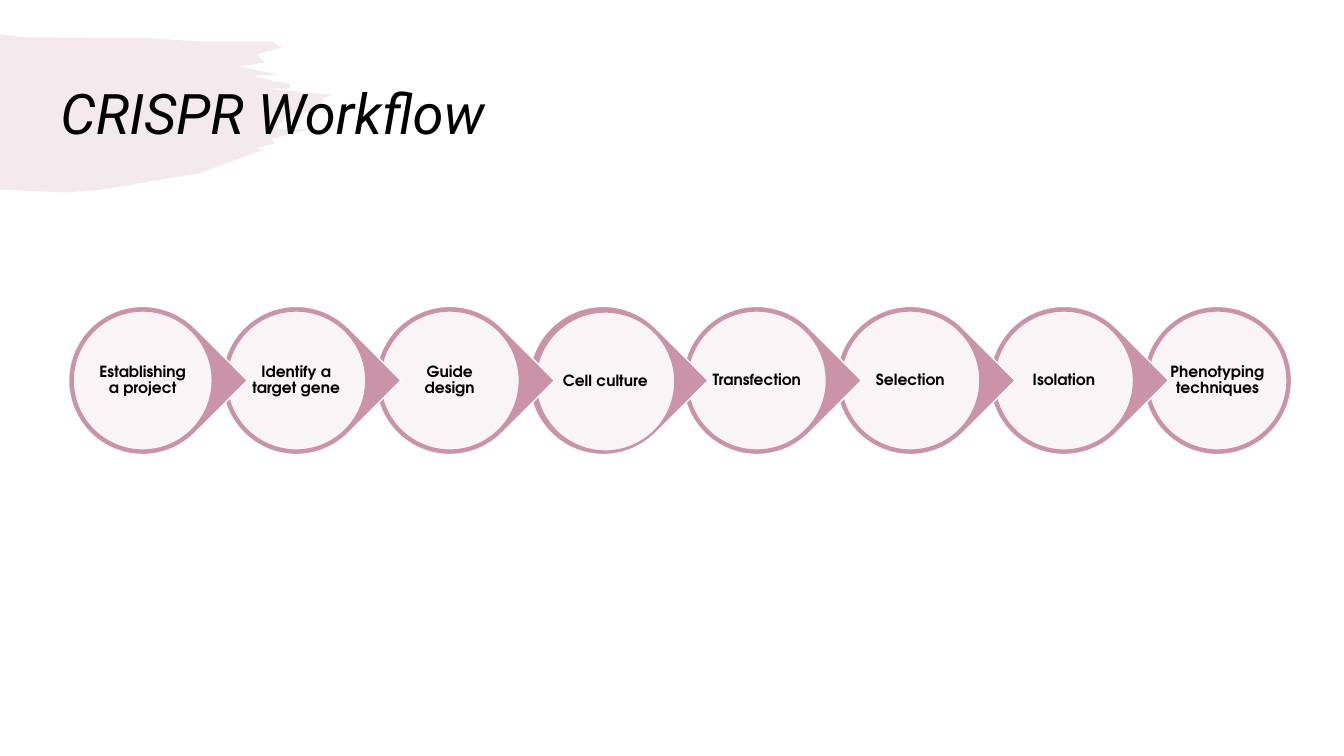
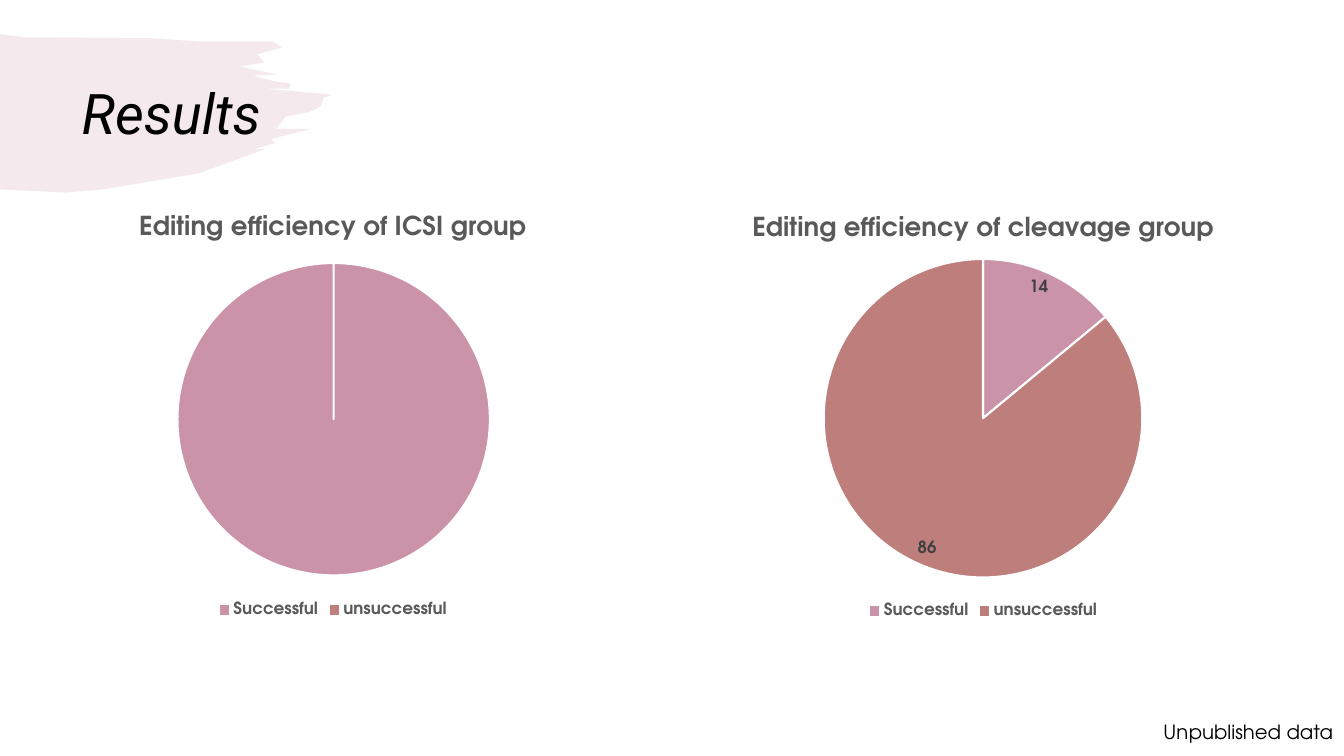
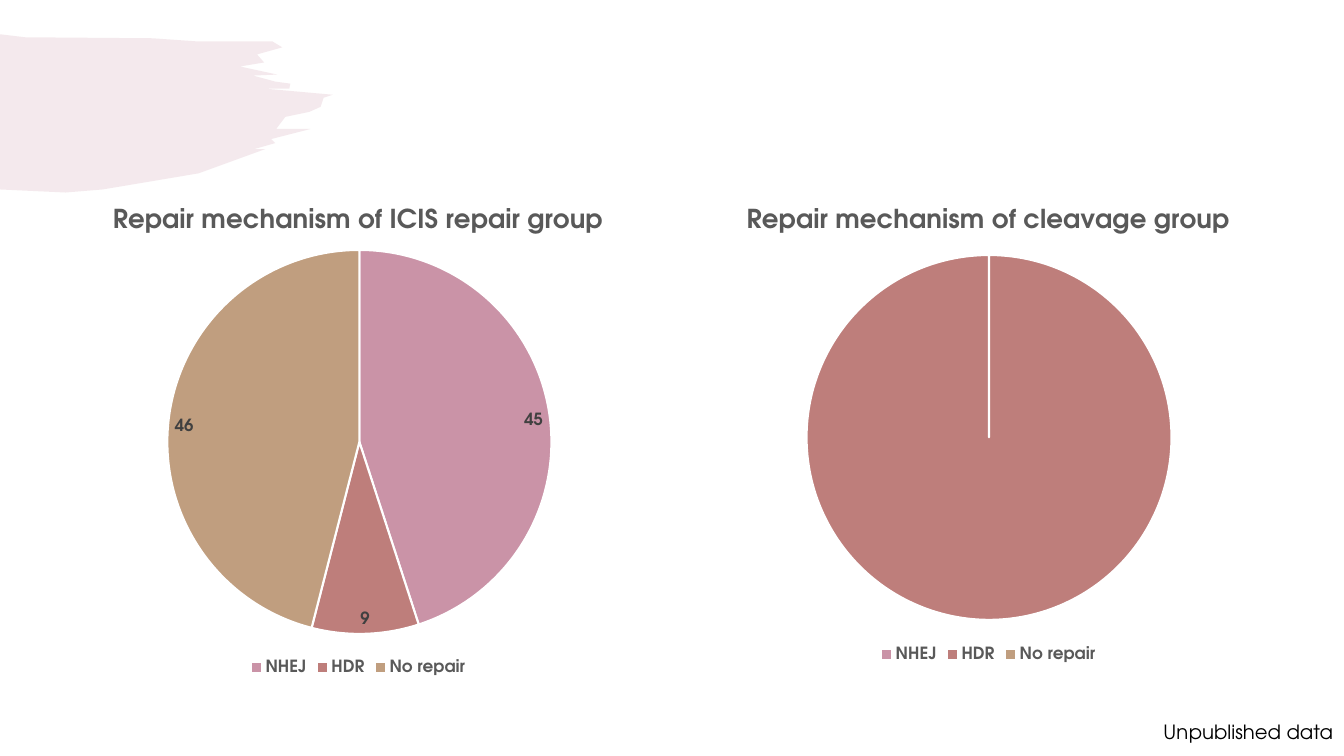
"""Build a three-slide deck on a CRISPR workflow and its results."""
import pptx
import pptx.chart.data
import pptx.dml.color
import pptx.enum.chart
import pptx.enum.shapes
import pptx.enum.text
import pptx.oxml
import pptx.oxml.ns
import pptx.util

Inches, Pt = pptx.util.Inches, pptx.util.Pt
qn = pptx.oxml.ns.qn
Shape = pptx.enum.shapes.MSO_SHAPE
Align = pptx.enum.text.PP_ALIGN
Middle = pptx.enum.text.MSO_ANCHOR.MIDDLE

COLORS = {
    "rose": "CA93A7", "brick": "BE7E7B", "sand": "C09E7F",
    "white": "FFFFFF", "black": "000000", "gray": "595959", "dark": "404040",
}
SLICES = ["rose", "brick", "sand"]
FACE = "TeX Gyre Adventor"
FONTS = {
    "title": {"name": "Roboto", "size": Pt(40), "bold": False, "italic": True},
    "step": {"name": FACE, "size": Pt(11), "bold": True},
    "note": {"name": FACE, "size": Pt(14)},
    "head": {"name": FACE, "size": Pt(18.6), "bold": True},
    "label": {"name": FACE, "size": Pt(12), "bold": True},
}

STEPS = [
    "Establishing a project", "Identify a target gene", "Guide design", "Cell culture",
    "Transfection", "Selection", "Isolation", "Phenotyping techniques",
]
NUDGES = {"Cell culture": (0.02, 0.01)}

EDITS = ["Successful", "unsuccessful"]
REPAIRS = ["NHEJ", "HDR", "No repair"]
NOTE = "Unpublished data"
SLIDES = [
    {"title": "CRISPR Workflow", "box": (0.5, 0.43, 6.73, 1.45), "steps": STEPS},
    {"title": "Results", "box": (0.71, 0.43, 11.5, 1.45), "note": NOTE, "charts": [
        {"head": "Editing efficiency of cleavage group", "cats": EDITS, "vals": [14, 86],
         "box": (6.63, 1.94, 6.25, 4.24), "pie": (8.17, 2.57, 3.16), "tags": True},
        {"head": "Editing efficiency of ICSI group", "cats": EDITS, "vals": [100, 0],
         "box": (0.25, 1.93, 6.11, 4.24), "pie": (1.76, 2.61, 3.1), "tags": False},
    ]},
    {"note": NOTE, "charts": [
        {"head": "Repair mechanism of ICIS repair group", "cats": REPAIRS, "vals": [45, 9, 46],
         "box": (-0.32, 1.85, 7.75, 4.89), "pie": (1.66, 2.48, 3.81), "tags": True},
        {"head": "Repair mechanism of cleavage group", "cats": REPAIRS, "vals": [0, 100, 0],
         "box": (6.71, 1.85, 6.19, 4.76), "pie": (8, 2.53, 3.62), "tags": False},
    ]},
]

BRUSH = [
    (0, 0.34), (0.25, 0.37), (1.51, 0.38), (1.94, 0.41), (2.48, 0.41), (2.7, 0.41),
    (2.8, 0.47), (2.55, 0.54), (2.62, 0.62), (2.38, 0.66), (2.75, 0.74), (2.51, 0.75),
    (2.73, 0.81), (2.88, 0.83), (2.87, 0.88), (2.63, 0.88), (3.3, 0.94), (3.21, 0.97),
    (3.18, 1.06), (3.07, 1.11), (2.83, 1.16), (2.74, 1.28), (3.08, 1.28), (2.69, 1.38),
    (2.73, 1.42), (2.52, 1.48), (2.63, 1.48), (1.97, 1.72), (1.02, 1.88), (0.65, 1.91),
    (0, 1.88),
]


def rgb(color):
    return pptx.dml.color.RGBColor.from_string(COLORS[color])


def assign(item, values):
    for key, value in values.items():
        setattr(item, key, value)


def style(font, kind, color):
    assign(font, FONTS[kind])
    font.color.rgb = rgb(color)


def place(item, box):
    assign(item, dict(zip(("left", "top", "width", "height"), map(Inches, box))))


def paint(shape, fill, line=None, alpha=100):
    shape.shadow.inherit = False
    shape.fill.solid()
    shape.fill.fore_color.rgb = rgb(fill)
    if alpha < 100:
        tint = shape.element.spPr.find(".//" + qn("a:srgbClr"))
        tint.append(pptx.oxml.parse_xml(
            f'<a:alpha {pptx.oxml.ns.nsdecls("a")} val="{alpha * 1000}"/>'))
    if line:
        shape.line.color.rgb = rgb(line)
        shape.line.width = Pt(1)
    else:
        shape.line.fill.background()


def add_brush(slide):
    """Draw the brush stroke and hand it to the shared layout."""
    start, *dots = [(Inches(x), Inches(y)) for x, y in BRUSH]
    pen = slide.shapes.build_freeform(*start)
    pen.add_line_segments(dots, close=True)
    brush = pen.convert_to_shape()
    paint(brush, "rose", alpha=20)
    brush.element.nvSpPr.cNvPr.set("id", "90")
    slide.slide_layout.shapes.element.insert(2, brush.element)


def add_steps(slide, steps, first=0.68, last=11.34, top=3.04, size=1.47, disc=1.38):
    gap = (last - first) / (len(steps) - 1)
    rim = (size - disc) / 2
    for i, text in reversed(list(enumerate(steps))):
        left = first + i * gap
        final = i == len(steps) - 1
        drop = slide.shapes.add_shape(
            Shape.OVAL if final else Shape.TEAR, *map(Inches, (left, top, size, size)))
        drop.rotation = 0 if final else 45
        paint(drop, "rose", "white")
        dx, dy = NUDGES.get(text, (0, 0))
        face = slide.shapes.add_shape(Shape.OVAL, *map(
            Inches, (left + rim + dx, top + rim + dy, disc, disc)))
        paint(face, "white", "rose", 90)
        frame = face.text_frame
        sides = ("left", "top", "right", "bottom")
        assign(frame, {f"margin_{side}": Inches(0.02) for side in sides})
        assign(frame, {"word_wrap": True, "vertical_anchor": Middle, "text": text})
        line = frame.paragraphs[0]
        assign(line, {"alignment": Align.CENTER, "line_spacing": 0.9})
        style(line.font, "step", "black")


def fix_plot(chart, box, pie):
    """Pin the pie to its square inside the chart frame."""
    left, top, wide, high = box
    x, y, size = pie
    spots = {"x": (x - left) / wide, "y": (y - top) / high, "w": size / wide, "h": size / high}
    marks = '<c:layoutTarget val="inner"/><c:xMode val="edge"/><c:yMode val="edge"/>'
    marks += "".join(f'<c:{key} val="{value:.4f}"/>' for key, value in spots.items())
    area = chart.element.find(".//" + qn("c:plotArea"))
    for old in area.findall(qn("c:layout")):
        area.remove(old)
    area.insert(0, pptx.oxml.parse_xml(
        f'<c:layout {pptx.oxml.ns.nsdecls("c")}><c:manualLayout>{marks}</c:manualLayout></c:layout>'))


def add_pie(slide, item):
    data = pptx.chart.data.CategoryChartData()
    data.categories = item["cats"]
    data.add_series("Series 1", item["vals"])
    chart = slide.shapes.add_chart(
        pptx.enum.chart.XL_CHART_TYPE.PIE, *map(Inches, item["box"]), data).chart
    style(chart.font, "label", "gray")
    chart.has_title = True
    frame = chart.chart_title.text_frame
    frame.text = item["head"]
    style(frame.paragraphs[0].runs[0].font, "head", "gray")
    chart.has_legend = True
    assign(chart.legend, {
        "position": pptx.enum.chart.XL_LEGEND_POSITION.BOTTOM, "include_in_layout": False})
    style(chart.legend.font, "label", "gray")
    plot = chart.plots[0]
    plot.vary_by_categories = True
    for i, color in enumerate(SLICES[:len(item["cats"])]):
        part = plot.series[0].points[i].format
        part.fill.solid()
        part.fill.fore_color.rgb = rgb(color)
        part.line.color.rgb = rgb("white")
        part.line.width = Pt(1.5)
    plot.has_data_labels = item["tags"]
    if item["tags"]:
        tags = plot.data_labels
        assign(tags, {"show_value": True, "show_percentage": False,
                      "position": pptx.enum.chart.XL_LABEL_POSITION.INSIDE_END})
        style(tags.font, "label", "dark")
    fix_plot(chart, item["box"], item["pie"])


def add_title(slide, item):
    title = slide.shapes.title
    if "title" not in item:
        title.element.getparent().remove(title.element)
        return
    place(title, item["box"])
    frame = title.text_frame
    assign(frame, {"text": item["title"], "vertical_anchor": Middle})
    line = frame.paragraphs[0]
    assign(line, {"alignment": Align.LEFT, "line_spacing": 0.9})
    style(line.font, "title", "black")


def add_note(slide, text):
    frame = slide.shapes.add_textbox(*map(Inches, (11.44, 7.09, 2.56, 0.34))).text_frame
    assign(frame, {"word_wrap": True, "text": text})
    style(frame.paragraphs[0].font, "note", "black")


def main():
    deck = pptx.Presentation()
    assign(deck, {"slide_width": Inches(13.33), "slide_height": Inches(7.5)})
    layout = deck.slide_layouts[5]
    for i, item in enumerate(SLIDES):
        slide = deck.slides.add_slide(layout)
        if i == 0:
            add_brush(slide)
        add_title(slide, item)
        if "steps" in item:
            add_steps(slide, item["steps"])
        if "note" in item:
            add_note(slide, item["note"])
        for pie in item.get("charts", []):
            add_pie(slide, pie)
    deck.save("out.pptx")


if __name__ == "__main__":
    main()
